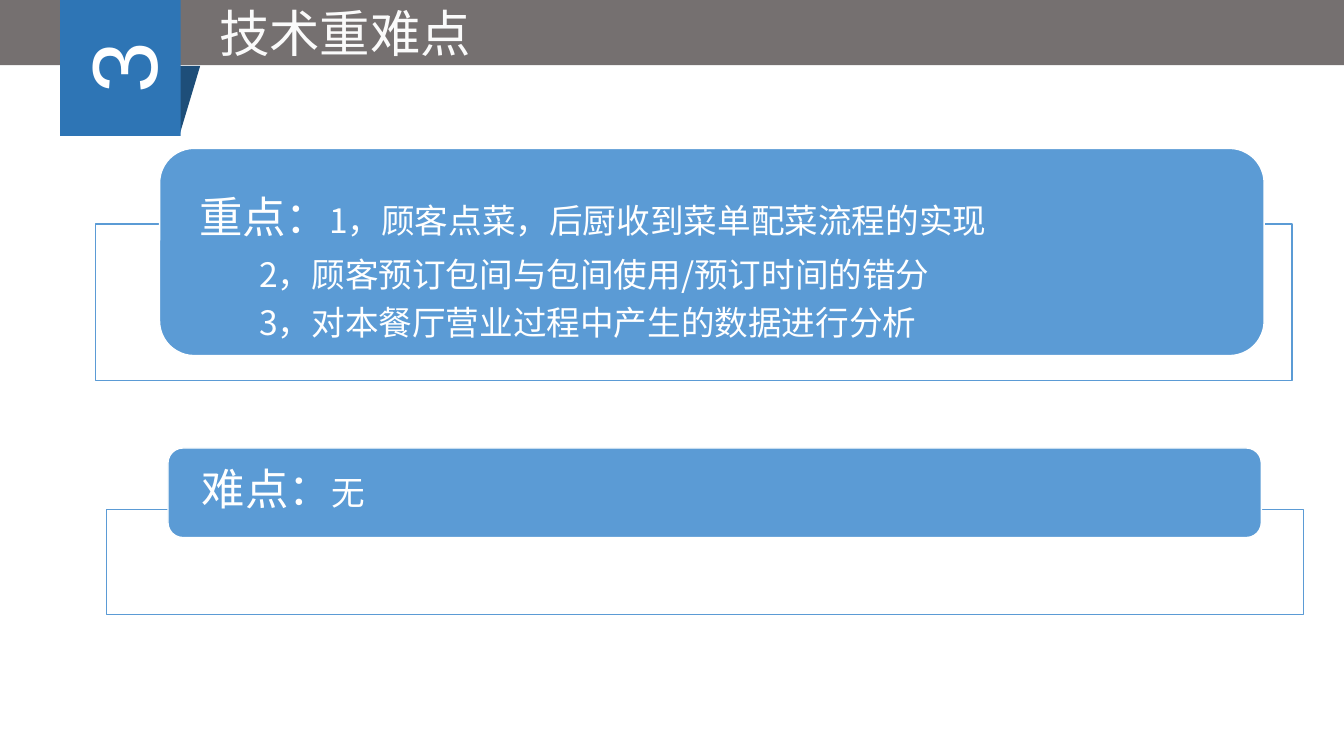
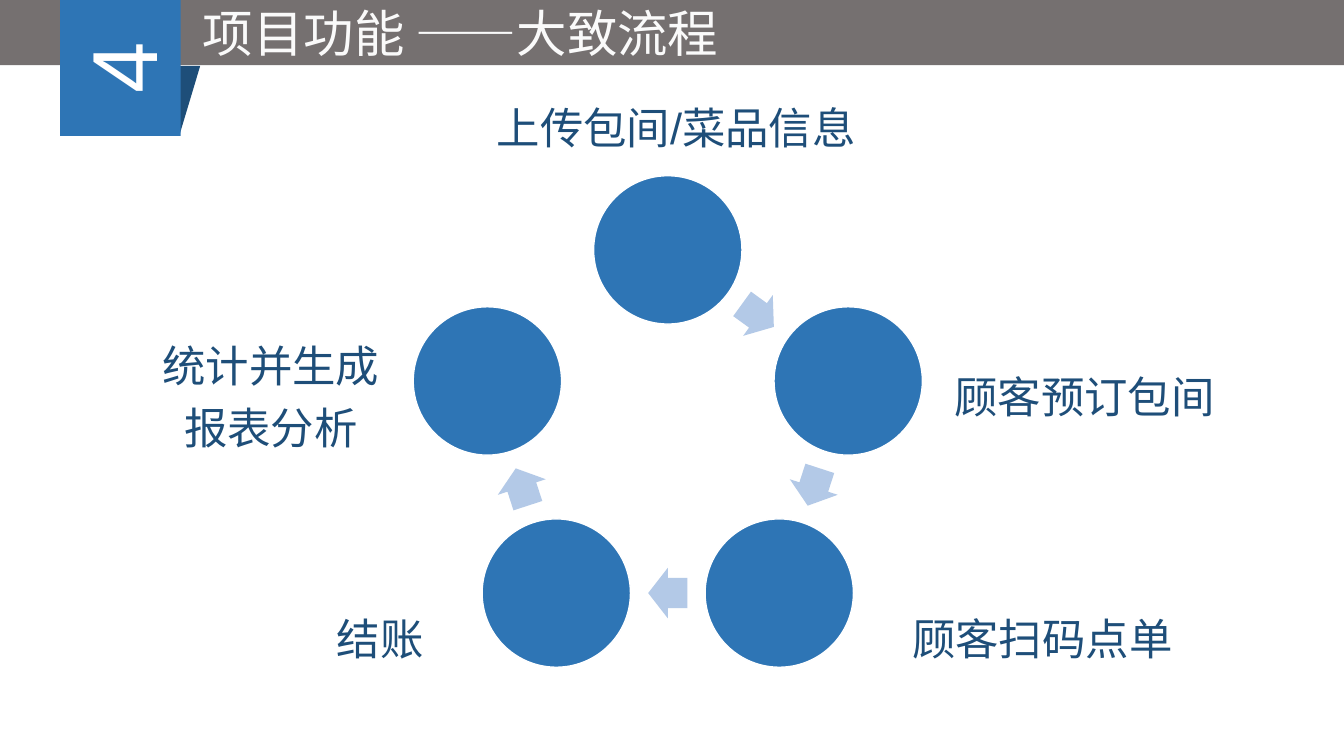
import math

import pptx
import pptx.dml.color
import pptx.enum.shapes
import pptx.enum.text
import pptx.oxml.ns
import pptx.util
from lxml import etree

Pt = pptx.util.Pt
SHAPE = pptx.enum.shapes.MSO_SHAPE
ANCHOR = pptx.enum.text.MSO_ANCHOR
ALIGN = pptx.enum.text.PP_ALIGN

CJK_FONT = "Noto Sans CJK SC"
GREY, NAVY, BLUE, SKY, PALE = "757070", "1E4E79", "2E75B5", "5B9BD5", "B3C9E7"
WHITE, TITLE_WHITE = "FFFFFF", "FAFAFA"

TITLE_FORMAT = {"size": Pt(36), "name": "Arial", "bold": False}
NUMBER_FORMAT = {"size": Pt(66), "name": "Arial"}
LABEL_FORMAT = {"size": Pt(31), "name": "Arial"}
HEADING_FORMAT = {"size": Pt(31), "name": CJK_FONT}
POINT_FORMAT = {"size": Pt(24), "name": CJK_FONT}


def rgb(hex_colour):
    """Turn a hex string into a colour."""
    return pptx.dml.color.RGBColor.from_string(hex_colour)


def apply_format(target, values):
    """Set each attribute of the target from a dict."""
    for attribute, value in values.items():
        setattr(target, attribute, value)


def add_run(paragraph, text, font_format, colour):
    """Append formatted text to a paragraph."""
    run = paragraph.add_run()
    run.text = text
    apply_format(run.font, font_format)
    run.font.color.rgb = rgb(colour)
    east_asian = etree.SubElement(run.font._element, pptx.oxml.ns.qn("a:ea"))
    east_asian.set("typeface", CJK_FONT)


def set_frame(frame, anchor, wrap=True, insets=(0, 0, 0, 0)):
    """Set the anchor, wrapping and left, top, right, bottom insets of a text frame."""
    left, top, right, bottom = map(Pt, insets)
    apply_format(frame, {
        "auto_size": pptx.enum.text.MSO_AUTO_SIZE.NONE,
        "vertical_anchor": anchor, "word_wrap": wrap,
        "margin_left": left, "margin_top": top,
        "margin_right": right, "margin_bottom": bottom,
    })


def body_spacing(font_format):
    """Return tight lines with a paragraph gap of 35% of the font size."""
    return {"line_spacing": 0.9, "space_after": Pt(round(0.35 * font_format["size"].pt, 1))}


def add_paragraphs(frame, lines, alignment, is_body=True):
    """Fill a frame with lines, each an indent and its (text, format, colour) runs."""
    for index, (indent, runs) in enumerate(lines):
        paragraph = frame.add_paragraph() if index else frame.paragraphs[0]
        properties = paragraph._p.get_or_add_pPr()
        properties.set("marL", str(Pt(indent)))
        properties.set("indent", "0")
        paragraph.alignment = alignment
        if is_body:
            apply_format(paragraph, body_spacing(runs[0][1]))
        for run in runs:
            add_run(paragraph, *run)


def add_block(slide, kind, box, fill, line=None, rotation=0, adjustments=()):
    """Add a flat preset shape, with a one-point outline if a line colour is given."""
    block = slide.shapes.add_shape(kind, *map(Pt, box))
    block.shadow.inherit = False
    block.rotation = rotation
    block.fill.solid()
    block.fill.fore_color.rgb = rgb(fill)
    if line:
        block.line.color.rgb = rgb(line)
        block.line.width = Pt(1)
    else:
        block.line.fill.background()
    for index, value in enumerate(adjustments):
        block.adjustments[index] = value
    return block


def add_titled_slide(deck, number, title_text, title_left, title_width):
    """Add a slide with the grey band, its title and the numbered ribbon."""
    slide = deck.slides.add_slide(deck.slide_layouts[5])
    title = slide.shapes.title
    apply_format(title, {"left": Pt(title_left), "top": Pt(-2),
                         "width": Pt(title_width), "height": Pt(50)})
    set_frame(title.text_frame, ANCHOR.MIDDLE, wrap=False)
    add_paragraphs(title.text_frame, [(0, [(title_text, TITLE_FORMAT, TITLE_WHITE)])],
                   ALIGN.CENTER, is_body=False)
    band = add_block(slide, SHAPE.RECTANGLE, (0, -0.5, 960, 47), GREY)
    title.element.addprevious(band.element)

    add_block(slide, SHAPE.FLOWCHART_DATA, (68, 47, 75, 50), NAVY, rotation=180)
    ribbon = add_block(slide, SHAPE.RECTANGLE, (37.5, 5.5, 97, 86), BLUE, rotation=270)
    set_frame(ribbon.text_frame, ANCHOR.MIDDLE)
    add_paragraphs(ribbon.text_frame, [(0, [(number, NUMBER_FORMAT, WHITE)])],
                   ALIGN.CENTER, is_body=False)
    return slide


def add_card(slide, frame_box, card_box, text_top, lines):
    """Add a rounded text card in front of an outlined frame."""
    add_block(slide, SHAPE.RECTANGLE, frame_box, WHITE, SKY)
    card = add_block(slide, SHAPE.ROUNDED_RECTANGLE, card_box, SKY, WHITE,
                     adjustments=(0.167,))
    set_frame(card.text_frame, ANCHOR.TOP, insets=(21, text_top, 21, 0))
    add_paragraphs(card.text_frame, lines, ALIGN.LEFT)


def add_label(slide, box, *texts):
    """Add a centred step label with one paragraph for each text."""
    label = slide.shapes.add_textbox(*map(Pt, box))
    set_frame(label.text_frame, ANCHOR.MIDDLE, insets=(3, 3, 3, 3))
    add_paragraphs(label.text_frame,
                   [(0, [(text, LABEL_FORMAT, NAVY)]) for text in texts], ALIGN.CENTER)


def add_cycle(slide, centre_x, centre_y, radius, steps):
    """Add a ring of circles with an arrow from each one to the next."""
    diameter, arrow_width, arrow_height = 106, 28, 36
    turn = 360 / steps
    angles = [math.radians(turn * step) for step in range(steps)]
    centres = [(centre_x + radius * math.sin(angle), centre_y - radius * math.cos(angle))
               for angle in angles]
    for x, y in centres:
        add_block(slide, SHAPE.OVAL,
                  (x - diameter / 2, y - diameter / 2, diameter, diameter), BLUE, WHITE)
    for step, ((x1, y1), (x2, y2)) in enumerate(zip(centres, centres[1:])):
        add_block(slide, SHAPE.RIGHT_ARROW,
                  ((x1 + x2 - arrow_width) / 2, (y1 + y2 - arrow_height) / 2,
                   arrow_width, arrow_height),
                  PALE, rotation=turn * (step + 0.5), adjustments=(0.6, 0.5))


def build_key_points(deck):
    """Build the slide of key points and difficulties."""
    slide = add_titled_slide(deck, "3", "技术重难点", 142.5, 208)
    add_card(slide, (68, 160, 855, 112), (114, 106, 789, 148), 27, [
        (0, [("重点：", HEADING_FORMAT, WHITE),
             ("1，顾客点菜，后厨收到菜单配菜流程的实现", POINT_FORMAT, WHITE)]),
        (43, [("2，顾客预订包间与包间使用/预订时间的错分", POINT_FORMAT, WHITE)]),
        (43, [("3，对本餐厅营业过程中产生的数据进行分析", POINT_FORMAT, WHITE)]),
    ])
    add_card(slide, (76, 364, 855, 75), (120, 320, 781, 64), 11, [
        (0, [("难点：", HEADING_FORMAT, WHITE), ("无", POINT_FORMAT, WHITE)]),
    ])


def build_process(deck):
    """Build the slide of the five-step process."""
    slide = add_titled_slide(deck, "4", "项目功能 ——大致流程", 106, 446)
    add_cycle(slide, 477, 314, 135.5, 5)
    add_label(slide, (333, 47, 300, 93), "上传包间/菜品信息")
    add_label(slide, (659.5, 248, 230, 75), "顾客预订包间")
    add_label(slide, (629.5, 421, 230, 75), "顾客扫码点单")
    add_label(slide, (128, 421, 287, 75), "结账")
    add_label(slide, (78.5, 248, 230, 75), "统计并生成", "报表分析")


def main():
    """Build and save the presentation."""
    deck = pptx.Presentation()
    deck.slide_width, deck.slide_height = Pt(960), Pt(540)
    build_key_points(deck)
    build_process(deck)
    deck.save("out.pptx")


if __name__ == "__main__":
    main()
